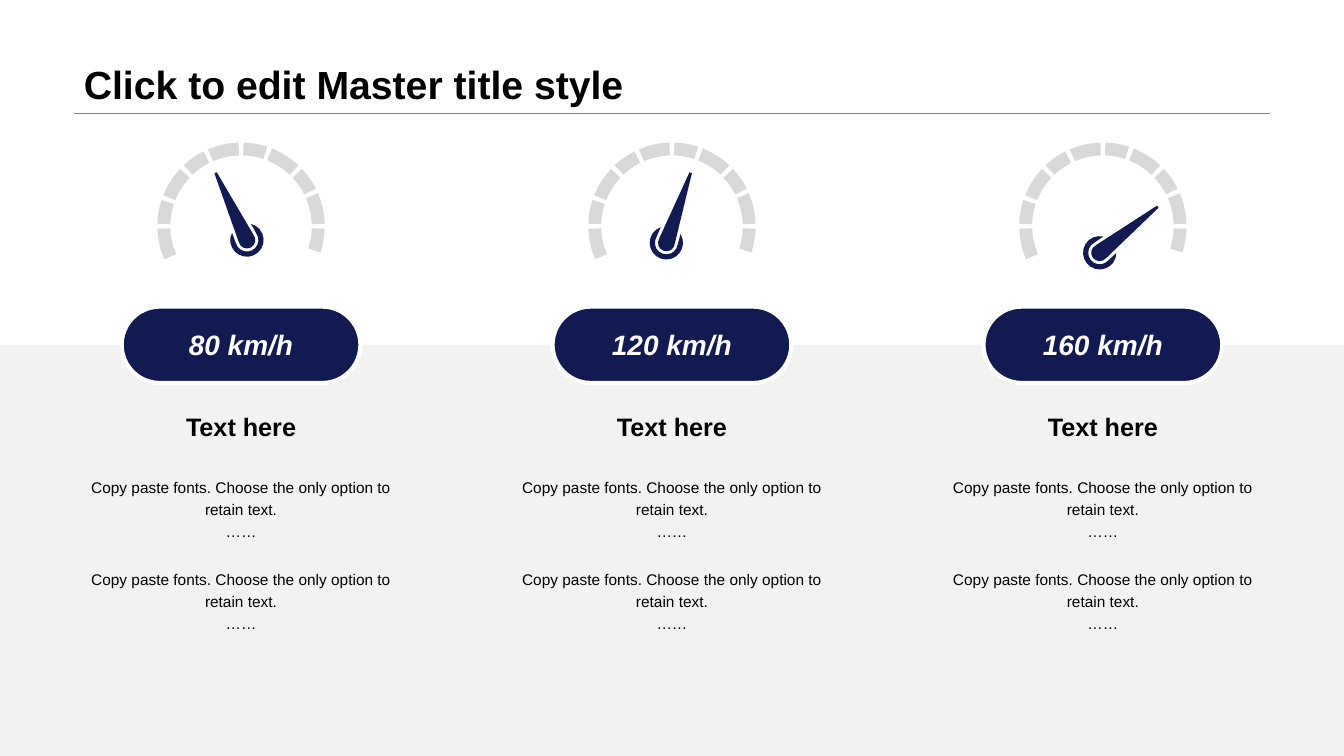
"""Build a slide with three speedometers, their speeds and descriptions."""
from dataclasses import dataclass
from itertools import pairwise
from math import cos, radians, sin

from lxml.etree import SubElement
from pptx import Presentation
from pptx.dml.color import RGBColor
from pptx.enum.shapes import MSO_CONNECTOR, MSO_SHAPE
from pptx.enum.text import MSO_ANCHOR, PP_ALIGN
from pptx.oxml.ns import qn
from pptx.util import Pt


@dataclass(frozen=True)
class Theme:
    font: str = "Arial"
    navy: RGBColor = RGBColor(0x11, 0x1A, 0x51)
    dial: RGBColor = RGBColor(0xD9, 0xD9, 0xD9)
    panel: RGBColor = RGBColor(0xF2, 0xF2, 0xF2)
    rule: RGBColor = RGBColor(0x80, 0x80, 0x80)
    white: RGBColor = RGBColor(0xFF, 0xFF, 0xFF)
    black: RGBColor = RGBColor(0, 0, 0)
    title_size: int = 28
    speed_size: int = 20
    heading_size: int = 18
    body_size: int = 11


def arc(center, radius, start, end, steps):
    """Return points along an arc, with degrees counted anticlockwise from the right."""
    angles = [radians(start + (end - start) * step / steps) for step in range(steps + 1)]
    return [(Pt(center[0] + radius * cos(a)), Pt(center[1] - radius * sin(a))) for a in angles]


def write(shape, text, size, color, align=PP_ALIGN.CENTER, anchor=MSO_ANCHOR.MIDDLE,
          spacing=1.0, bold=True, italic=False):
    """Put formatted text into a shape."""
    frame = shape.text_frame
    frame.text = text
    frame.word_wrap = True
    frame.vertical_anchor = anchor
    for paragraph in frame.paragraphs:
        paragraph.alignment = align
        paragraph.line_spacing = spacing
        for run in paragraph.runs:
            run.font.name = theme.font
            run.font.size = Pt(size)
            run.font.bold = bold
            run.font.italic = italic
            run.font.color.rgb = color


theme = Theme()
presentation = Presentation()
presentation.slide_width = Pt(960)
presentation.slide_height = Pt(540)
slide = presentation.slides.add_slide(presentation.slide_layouts[6])
shapes = slide.shapes

title_rule = shapes.add_connector(MSO_CONNECTOR.STRAIGHT, Pt(52.8), Pt(80.8), Pt(907.2), Pt(80.8))
title_rule.line.color.rgb = theme.rule
title_rule.line.width = Pt(0.25)
SubElement(title_rule._element.spPr, qn("a:effectLst"))

title = shapes.add_textbox(Pt(52.8), Pt(0), Pt(854.4), Pt(80.8))
write(title, "Click to edit Master title style", theme.title_size, theme.black,
      align=PP_ALIGN.LEFT, anchor=MSO_ANCHOR.BOTTOM, spacing=0.9)

panel = shapes.add_shape(MSO_SHAPE.RECTANGLE, Pt(0), Pt(246.4), Pt(960), Pt(293.6))
panel.shadow.inherit = False
panel.fill.solid()
panel.fill.fore_color.rgb = theme.panel
panel.line.fill.background()

COLUMN_PITCH = 307.8
DIAL_Y = 161.6
DIAL_OUTER, DIAL_INNER = 59.8, 50.6
HALF_GAP = 1.7
DIAL_TICKS = [205, 180, 160, 135, 115, 90, 70, 45, 25, 0, -20]
TEXT_WIDTH = 238.3
SPEED_WIDTH = 170.6
BODY_TOPS = [335.3, 401]
BODY = "Copy paste fonts. Choose the only option to retain text.\n……"

gauges = [
    ("80 km/h", 115, 4.2, 171.5),
    ("120 km/h", 70.9, -4, 173.5),
    ("160 km/h", 38.4, -2.3, 180.6),
]

for column, (speed, direction, pivot_shift, pivot_y) in enumerate(gauges, start=-1):
    center_x = 480 + column * COLUMN_PITCH
    dial_center = (center_x, DIAL_Y)
    pivot = (center_x + pivot_shift, pivot_y)

    outlines = []
    for start, end in pairwise(DIAL_TICKS):
        start, end = start - HALF_GAP, end + HALF_GAP
        segment = (arc(dial_center, DIAL_OUTER, start, end, 3)
                   + arc(dial_center, DIAL_INNER, end, start, 3))
        outlines.append((segment, theme.dial))
    hub = (arc(pivot, 11.9, direction + 39, direction + 321, 16)
           + arc(pivot, 8.2, direction + 280, direction + 80, 10))
    needle = (arc(pivot, 53, direction - 1, direction + 1, 1)
              + arc(pivot, 6, direction + 78, direction + 282, 8))
    outlines += [(hub, theme.navy), (needle, theme.navy)]

    for points, color in outlines:
        builder = shapes.build_freeform(*points[0])
        builder.add_line_segments(points[1:], close=True)
        gauge_part = builder.convert_to_shape()
        gauge_part.shadow.inherit = False
        gauge_part.fill.solid()
        gauge_part.fill.fore_color.rgb = color
        gauge_part.line.fill.background()

    speed_pill = shapes.add_shape(MSO_SHAPE.ROUNDED_RECTANGLE, Pt(center_x - SPEED_WIDTH / 2),
                                  Pt(219), Pt(SPEED_WIDTH), Pt(54.6))
    speed_pill.adjustments[0] = 0.5
    speed_pill.shadow.inherit = False
    speed_pill.fill.solid()
    speed_pill.fill.fore_color.rgb = theme.navy
    speed_pill.line.color.rgb = theme.white
    speed_pill.line.width = Pt(3)
    write(speed_pill, speed, theme.speed_size, theme.white, italic=True)

    text_left = Pt(center_x - TEXT_WIDTH / 2)
    heading = shapes.add_textbox(text_left, Pt(287.5), Pt(TEXT_WIDTH), Pt(34.6))
    write(heading, "Text here", theme.heading_size, theme.black)
    for body_top in BODY_TOPS:
        description = shapes.add_textbox(text_left, Pt(body_top), Pt(TEXT_WIDTH), Pt(62.6))
        write(description, BODY, theme.body_size, theme.black,
              anchor=MSO_ANCHOR.TOP, spacing=1.2, bold=False)

presentation.save("out.pptx")
